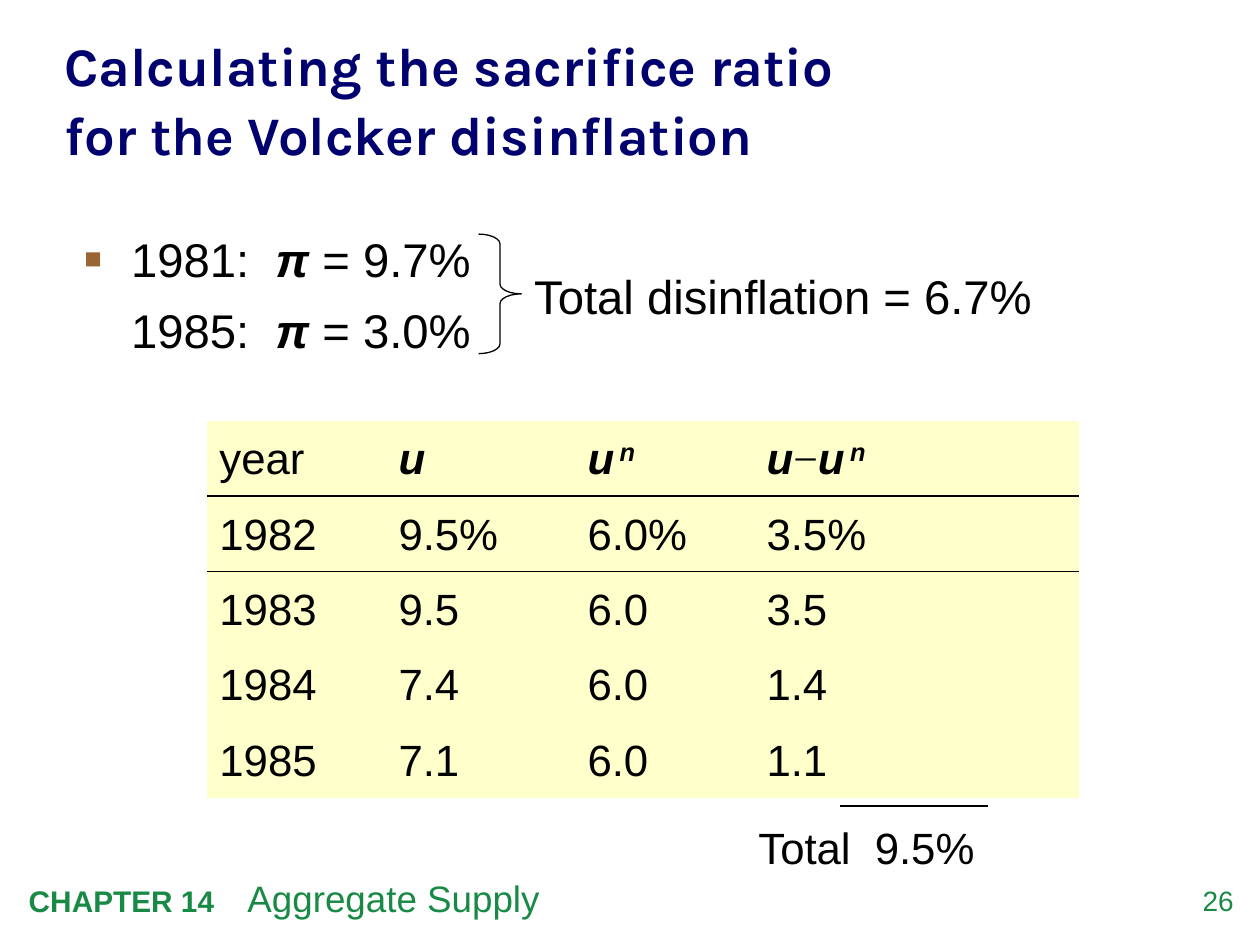
import pptx
import pptx.util
import pptx.dml.color
import pptx.enum.shapes
import pptx.enum.text
import pptx.oxml
import pptx.oxml.ns
import lxml.etree

Cm, Pt = pptx.util.Cm, pptx.util.Pt
ALIGN = pptx.enum.text.PP_ALIGN
ANCHOR = pptx.enum.text.MSO_ANCHOR

# Content: a run is (text, style), where style names an entry of STYLES
COLORS = {"title": "00006E", "text": "000000", "bullet": "996633",
          "footer": "198A46", "cell": "FFFFCC"}
STYLES = {
    "plain": {},
    "bold": {"bold": True},
    "symbol": {"bold": True, "italic": True},
    "gap": {"bold": True, "italic": True, "size": 11},
    "super": {"bold": True, "italic": True, "raised": True},
    "minus": {"font": "Times New Roman"},
    "chapter": {"bold": True, "size": 17},
}
TITLE = "Calculating the sacrifice ratio \vfor the Volcker disinflation"
INFLATION = [("1981:  ", " = 9.7%"), ("1985:  ", " = 3.0%")]
NATURAL_RATE = [("u", "symbol"), (" ", "gap"), ("n", "super")]
HEADER = [
    [("year", "plain")],
    [("u", "symbol")],
    NATURAL_RATE,
    [("u", "symbol"), ("−", "minus")] + NATURAL_RATE,
]
UNEMPLOYMENT = [
    ("1982", "9.5%", "6.0%", "3.5%"),
    ("1983", "9.5", "6.0", "3.5"),
    ("1984", "7.4", "6.0", "1.4"),
    ("1985", "7.1", "6.0", "1.1"),
]
COLUMN_WIDTHS = (3.61, 3.81, 3.61, 6.55)
ROW_HEIGHT = 1.52
# Text, box, size, space before, colour, alignment, inset
LABELS = [
    ([("Total  9.5%", "plain")], (15.04, 16.43, 5.51, 1.32), 25, 2.5, "text", ALIGN.LEFT, True),
    ([("Total disinflation = 6.7%", "plain")], (10.52, 5.26, 11, 1.4), 27, 2, "text", ALIGN.LEFT, True),
    ([("26", "plain")], (23.47, 17.81, 1.4, 0.81), 16, 0, "footer", ALIGN.RIGHT, False),
    ([("CHAPTER 14\t", "chapter"), ("Aggregate Supply", "plain")],
     (0.33, 17.53, 20.78, 1.14), 21, 0, "footer", ALIGN.LEFT, True),
]
FOOTER_TAB = 4.41


def rgb(name):
    return pptx.dml.color.RGBColor.from_string(COLORS[name])


def add_xml(parent, xml, index=None):
    namespace = pptx.oxml.ns.nsdecls("a")
    tag, rest = xml[1:].split(" ", 1)
    element = pptx.oxml.parse_xml(f"<{tag} {namespace} {rest}")
    parent.insert(len(parent) if index is None else index, element)


def format_run(run, size, color, font="Arial", bold=False, italic=False, raised=False):
    run.font.name = font
    run.font.size = Pt(size)
    run.font.bold = bold
    run.font.italic = italic
    run.font.color.rgb = rgb(color)
    if raised:
        run.font._element.set("baseline", "30000")


def write_runs(paragraph, runs, size, color="text"):
    for text, style in runs:
        run = paragraph.add_run()
        run.text = text
        format_run(run, **{"size": size, "color": color, **STYLES[style]})


def place(shape, box):
    shape.left, shape.top, shape.width, shape.height = map(Cm, box)


def clear_insets(frame):
    frame.margin_left = frame.margin_right = frame.margin_top = frame.margin_bottom = 0


def add_title(slide):
    title = slide.shapes.title
    place(title, (1.3, 0.66, 22.91, 2.62))
    frame = title.text_frame
    frame.text = TITLE
    frame.auto_size = pptx.enum.text.MSO_AUTO_SIZE.NONE
    frame.vertical_anchor = ANCHOR.MIDDLE
    clear_insets(frame)
    paragraph = frame.paragraphs[0]
    paragraph.alignment = ALIGN.LEFT
    paragraph.line_spacing = 1.05
    for run in paragraph.runs:
        format_run(run, 31, "title", "Karla", bold=True)


def add_inflation(slide):
    body = slide.placeholders[1]
    place(body, (1.42, 4.45, 10.62, 2.9))
    frame = body.text_frame
    frame.auto_size = pptx.enum.text.MSO_AUTO_SIZE.NONE
    for index, (year, rate) in enumerate(INFLATION):
        paragraph = frame.add_paragraph() if index else frame.paragraphs[0]
        write_runs(paragraph, [(year, "plain"), ("π", "symbol"), (rate, "plain")], 27)
        paragraph.line_spacing = 1.05
        paragraph.space_before = Pt(6.5 if index else 2)
        properties = paragraph._p.get_or_add_pPr()
        properties.set("marL", str(Cm(0.97)))
        properties.set("indent", str(0 if index else -Cm(0.97)))
        if index:
            add_xml(properties, "<a:buNone />")
        else:
            add_xml(properties, f'<a:buClr ><a:srgbClr val="{COLORS["bullet"]}"/></a:buClr>')
            add_xml(properties, '<a:buSzPct val="120000"/>')
            add_xml(properties, '<a:buFont typeface="Arial"/>')
            add_xml(properties, '<a:buChar char="▪"/>')


def add_unemployment_table(slide):
    rows = [HEADER] + [[[(value, "plain")] for value in row] for row in UNEMPLOYMENT]
    table = slide.shapes.add_table(
        len(rows), len(HEADER), Cm(4.17), Cm(8.48),
        Cm(sum(COLUMN_WIDTHS)), Cm(ROW_HEIGHT * len(rows))).table
    table.first_row = table.horz_banding = False
    # Plain style without a grid
    style = table._tbl.tblPr.find(pptx.oxml.ns.qn("a:tableStyleId"))
    style.text = "{2D5ABB26-0587-4C30-8999-92F81FD0307C}"
    for column, width in zip(table.columns, COLUMN_WIDTHS):
        column.width = Cm(width)
    for row_index, row in enumerate(rows):
        table.rows[row_index].height = Cm(ROW_HEIGHT)
        for column_index, runs in enumerate(row):
            cell = table.cell(row_index, column_index)
            cell.fill.solid()
            cell.fill.fore_color.rgb = rgb("cell")
            cell.vertical_anchor = ANCHOR.MIDDLE
            paragraph = cell.text_frame.paragraphs[0]
            paragraph.line_spacing = 1.05
            write_runs(paragraph, runs, 25)
            # Rule between the header and the first year
            if row_index < 2:
                edge = "lnT" if row_index else "lnB"
                add_xml(cell._tc.get_or_add_tcPr(),
                        f'<a:{edge} w="{Pt(1)}"><a:solidFill><a:srgbClr val="{COLORS["text"]}"/>'
                        f'</a:solidFill></a:{edge}>', 0)


def add_labels(slide):
    for runs, box, size, space, color, alignment, inset in LABELS:
        frame = slide.shapes.add_textbox(*map(Cm, box)).text_frame
        frame.word_wrap = True
        if not inset:
            clear_insets(frame)
        paragraph = frame.paragraphs[0]
        paragraph.alignment = alignment
        paragraph.space_before = Pt(space)
        write_runs(paragraph, runs, size, color)
        if "\t" in runs[0][0]:
            add_xml(paragraph._p.get_or_add_pPr(),
                    f'<a:tabLst ><a:tab pos="{Cm(FOOTER_TAB)}" algn="l"/></a:tabLst>')


def add_lines(slide):
    # Sum rule above the total
    rule = slide.shapes.add_connector(
        pptx.enum.shapes.MSO_CONNECTOR.STRAIGHT, Cm(16.94), Cm(16.25), Cm(19.91), Cm(16.25))
    lxml.etree.SubElement(rule._element.spPr, pptx.oxml.ns.qn("a:effectLst"))
    # Brace joining the two inflation rates
    brace = slide.shapes.add_shape(
        pptx.enum.shapes.MSO_SHAPE.RIGHT_BRACE, Cm(9.65), Cm(4.72), Cm(0.86), Cm(2.41))
    brace.adjustments[0] = 0.23
    brace.shadow.inherit = False
    brace.fill.background()
    for shape in (rule, brace):
        shape.line.color.rgb = rgb("text")
        shape.line.width = Pt(0.75)


def main():
    presentation = pptx.Presentation()
    presentation.slide_width, presentation.slide_height = Cm(25.4), Cm(19.05)
    slide = presentation.slides.add_slide(presentation.slide_layouts[1])
    add_title(slide)
    add_inflation(slide)
    add_unemployment_table(slide)
    add_labels(slide)
    add_lines(slide)
    presentation.save("out.pptx")


if __name__ == "__main__":
    main()
